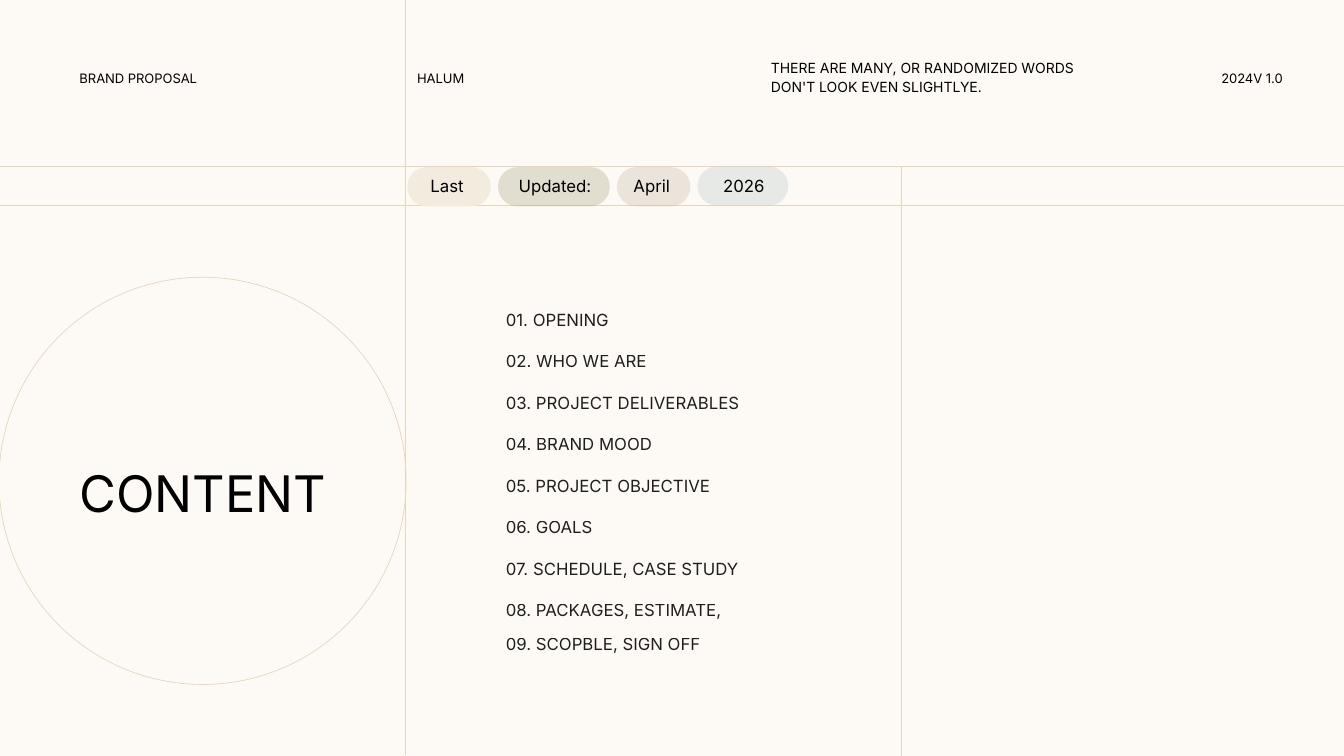
from lxml import etree
from pptx import Presentation
from pptx.dml.color import RGBColor
from pptx.enum.shapes import MSO_CONNECTOR, MSO_SHAPE
from pptx.enum.text import MSO_AUTO_SIZE, PP_ALIGN
from pptx.oxml.ns import qn
from pptx.util import Inches, Pt

STRAIGHT = MSO_CONNECTOR.STRAIGHT
PILL, CIRCLE = MSO_SHAPE.ROUNDED_RECTANGLE, MSO_SHAPE.OVAL
FIT_SHAPE = MSO_AUTO_SIZE.SHAPE_TO_FIT_TEXT
LEFT, CENTER, RIGHT = PP_ALIGN.LEFT, PP_ALIGN.CENTER, PP_ALIGN.RIGHT

PAPER = RGBColor(0xFD, 0xFA, 0xF5)
RULE = RGBColor(0xE7, 0xD6, 0xBC)
BLACK = RGBColor(0x00, 0x00, 0x00)
CREAM = RGBColor(0xF3, 0xEB, 0xDE)
OLIVE = RGBColor(0xA7, 0xA5, 0x7F)
SAND = RGBColor(0xC6, 0xB7, 0xA4)
MIST = RGBColor(0xB8, 0xC6, 0xC6)

FONT = "Inter"
WIDTH, HEIGHT = Inches(13.333), Inches(7.5)

# All places and sizes below are percentages of the slide's width or height.
MARGIN = 5.18
COLUMN_1, COLUMN_2 = 30.15, 67.05
ROW_1, ROW_2 = 22, 27.2
HEADER_TOP, HEADER_HEIGHT = 8.27, 3.73
LABEL_HEIGHT = 4
PILL_GAP, PILL_HEIGHT = 0.52, 5.2
AGENDA_LEFT, AGENDA_TOP, AGENDA_STEP, AGENDA_LAST = 36.9, 40.27, 5.49, 83.2

AGENDA = [
    "OPENING", "WHO WE ARE", "PROJECT DELIVERABLES", "BRAND MOOD",
    "PROJECT OBJECTIVE", "GOALS", "SCHEDULE, CASE STUDY",
    "PACKAGES, ESTIMATE,", "SCOPBLE, SIGN OFF",
]
# Word, pill width, pill top, colour, opacity, label left, label width
PILLS = [
    ("Last", 6.23, 22.1, CREAM, 100, 31.05, 4.43),
    ("Updated:", 8.33, 22.1, OLIVE, 32, 37.58, 7.43),
    ("April", 5.48, 22.1, SAND, 32, 46.28, 4.43),
    ("2026", 6.75, 22, MIST, 32, 51.23, 8.25),
]


def across(percent):
    return round(WIDTH * percent / 100)


def down(percent):
    return round(HEIGHT * percent / 100)


def place(left, top, width, height):
    return across(left), down(top), across(width), down(height)


def set_opacity(element, percent):
    """Make the first solid colour inside the element translucent."""
    color = next(element.iter(qn("a:srgbClr")))
    etree.SubElement(color, qn("a:alpha")).set("val", str(percent * 1000))


def add_rule(slide, x1, y1, x2, y2):
    rule = slide.shapes.add_connector(
        STRAIGHT, across(x1), down(y1), across(x2), down(y2))
    rule.line.color.rgb = RULE
    rule.line.width = Pt(0.5)
    etree.SubElement(rule._element.spPr, qn("a:effectLst"))


def add_text(slide, text, box, size, align=LEFT, spacing=None,
             opacity=100, raised=False):
    frame = slide.shapes.add_textbox(*place(*box)).text_frame
    frame.word_wrap = True
    frame.auto_size = FIT_SHAPE
    paragraph = frame.paragraphs[0]
    paragraph.alignment = align
    if spacing:
        paragraph.line_spacing = Pt(spacing)
    run = paragraph.add_run()
    run.text = text
    run.font.name = FONT
    run.font.size = Pt(size)
    run.font.color.rgb = BLACK
    if opacity < 100:
        set_opacity(run._r, opacity)
    if raised:
        run._r.get_or_add_rPr().set("baseline", "30000")


def add_pill(slide, box, color, opacity):
    pill = slide.shapes.add_shape(PILL, *place(*box))
    pill.shadow.inherit = False
    pill.adjustments[0] = 0.5
    pill.fill.solid()
    pill.fill.fore_color.rgb = color
    pill.line.fill.background()
    if opacity < 100:
        set_opacity(pill._element.spPr, opacity)


def add_ring(slide, box):
    ring = slide.shapes.add_shape(CIRCLE, *place(*box))
    ring.shadow.inherit = False
    ring.fill.background()
    ring.line.color.rgb = RULE
    ring.line.width = Pt(0.5)


def add_header(slide):
    for text, left, width, align in [
        ("BRAND PROPOSAL", MARGIN, 13.73, LEFT),
        ("HALUM", 30.3, 13.73, LEFT),
        ("2024V 1.0 ", 88.65, 7.8, RIGHT),
    ]:
        add_text(slide, text, (left, HEADER_TOP, width, HEADER_HEIGHT), 16,
                 align, raised=True)
    add_text(slide,
             "THERE ARE MANY, OR RANDOMIZED WORDS DON'T LOOK EVEN SLIGHTLYE.",
             (56.62, 7.07, 25.35, 6), 10, spacing=13)


def add_update_pills(slide):
    left = 30.3
    for word, width, top, color, opacity, label_left, label_width in PILLS:
        add_pill(slide, (left, top, width, PILL_HEIGHT), color, opacity)
        add_text(slide, word,
                 (label_left, top + 0.55, label_width, LABEL_HEIGHT), 12, CENTER)
        left += width + PILL_GAP


def add_agenda(slide):
    tops = [AGENDA_TOP + AGENDA_STEP * i for i in range(len(AGENDA) - 1)]
    tops.append(AGENDA_LAST)
    for number, (item, top) in enumerate(zip(AGENDA, tops), 1):
        add_text(slide, f"{number:02}. {item}",
                 (AGENDA_LEFT, top, 24.5, LABEL_HEIGHT), 12, opacity=88)


def main():
    presentation = Presentation()
    presentation.slide_width, presentation.slide_height = WIDTH, HEIGHT
    slide = presentation.slides.add_slide(presentation.slide_layouts[6])
    slide.background.fill.solid()
    slide.background.fill.fore_color.rgb = PAPER

    for row in (ROW_1, ROW_2):
        add_rule(slide, 0, row, 100, row)
    add_rule(slide, COLUMN_1, 0, COLUMN_1, 99.87)
    add_rule(slide, COLUMN_2, ROW_1, COLUMN_2, 100)

    add_header(slide)
    add_update_pills(slide)
    add_ring(slide, (-0.08, 36.67, 30.3, 53.87))
    add_text(slide, "CONTENT", (MARGIN, 58.27, 20.25, 10.67), 36, spacing=55)
    add_agenda(slide)
    presentation.save("out.pptx")


if __name__ == "__main__":
    main()
